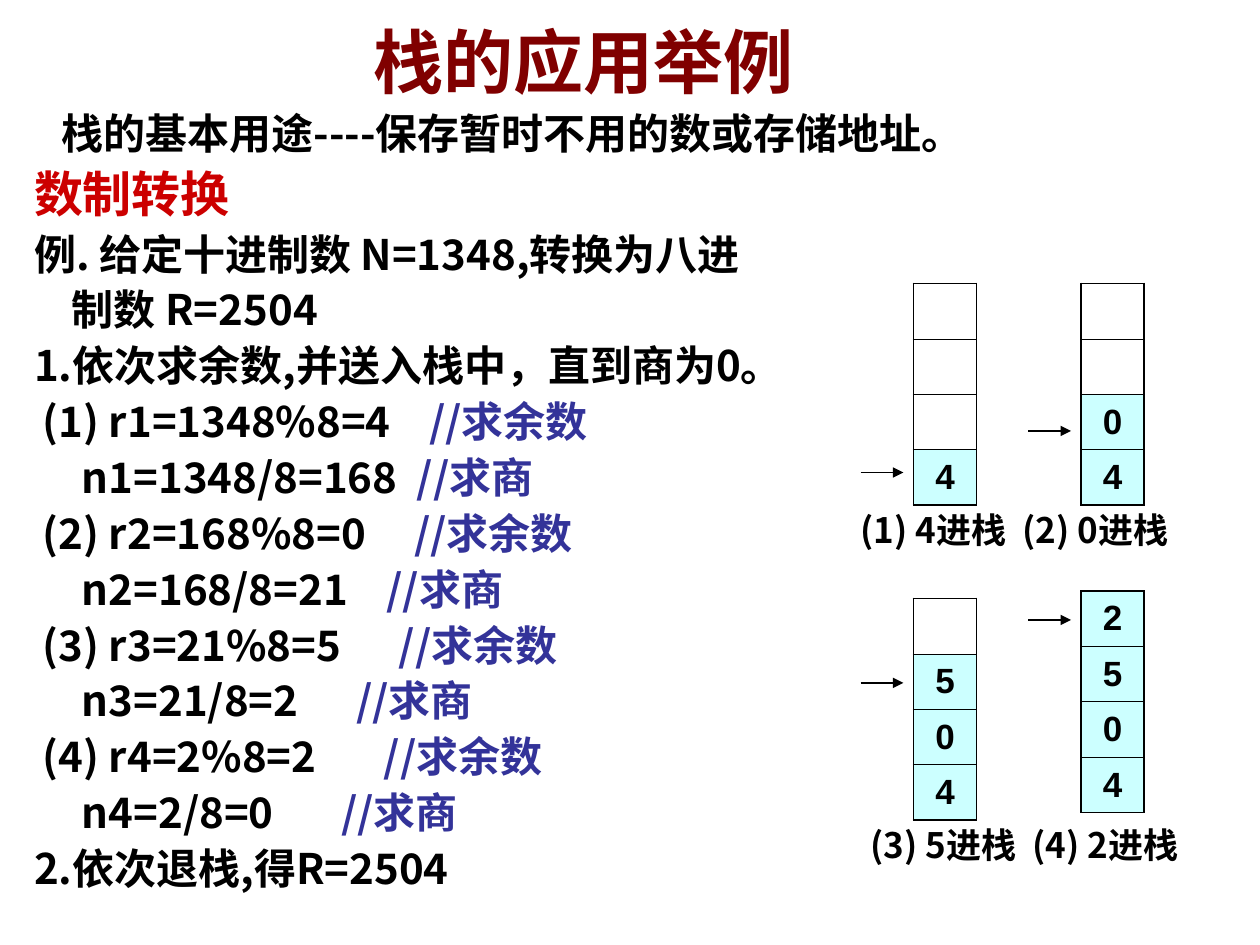
from lxml import etree
from pptx import Presentation
from pptx.dml.color import RGBColor
from pptx.enum.shapes import MSO_CONNECTOR
from pptx.enum.text import MSO_ANCHOR, MSO_AUTO_SIZE, PP_ALIGN
from pptx.oxml.ns import qn
from pptx.util import Inches, Pt

TOP, MIDDLE = MSO_ANCHOR.TOP, MSO_ANCHOR.MIDDLE
LEFT, CENTER = PP_ALIGN.LEFT, PP_ALIGN.CENTER
BLACK = RGBColor(0x00, 0x00, 0x00)
MAROON = RGBColor(0x80, 0x00, 0x00)
RED = RGBColor(0xCC, 0x00, 0x00)
BLUE = RGBColor(0x33, 0x33, 0x99)
CYAN = RGBColor(0xCC, 0xFF, 0xFF)
CJK_FONT, DIGIT_FONT = "Noto Sans CJK SC", "Arial"

TITLE = "栈的应用举例"
# text, indent, size, colour
INTRO = [
    ("栈的基本用途----保存暂时不用的数或存储地址。", 0.22, 24, BLACK),
    ("数制转换", 0, 28, RED),
    ("例. 给定十进制数 N=1348,转换为八进", 0, 24, BLACK),
    ("制数 R=2504", 0.3, 24, BLACK),
    ("1.依次求余数,并送入栈中，直到商为0。", 0, 24, BLACK),
]
# remainder, gap before its comment, quotient, gap before its comment
STEPS = [
    ("(1) r1=1348%8=4", 4, "n1=1348/8=168", 2),
    ("(2) r2=168%8=0", 5, "n2=168/8=21", 4),
    ("(3) r3=21%8=5", 6, "n3=21/8=2", 6),
    ("(4) r4=2%8=2", 7, "n4=2/8=0", 7),
]
CONCLUSION = "2.依次退栈,得R=2504"
# pushed digits from the top down, column, top, arrow height
STACKS = [
    ("4", 0, 2.25, 3.75),
    ("04", 1, 2.25, 3.42),
    ("504", 0, 4.75, 5.42),
    ("2504", 1, 4.69, 4.92),
]
CAPTIONS = [
    ("(1) 4进栈", "(2) 0进栈", 6.73, 4),
    ("(3) 5进栈", "(4) 2进栈", 6.81, 6.5),
]

STACK_LEFT, STACK_STEP, CELL_WIDTH, CELL_HEIGHT, DEPTH = 7.25, 1.33, 0.5, 0.44, 4
LINE_HEIGHT = 1.08  # share of the font size
SPACE_WIDTH = 0.23  # share of the font size
THICK, THIN = 1.08, 0.45


def set_font(font, size, color, name=CJK_FONT):
    font.name, font.size, font.bold = name, Pt(size), True
    font.color.rgb = color
    etree.SubElement(font._element, qn("a:ea"), typeface=name)


def format_paragraph(paragraph, size, color, indent=0, before=0, align=LEFT):
    paragraph.alignment = align
    paragraph.line_spacing = Pt(round(size * LINE_HEIGHT, 1))
    paragraph.space_before = Pt(before)
    properties = paragraph._p.get_or_add_pPr()
    properties.set("marL", "0")
    properties.set("indent", str(Inches(indent)))
    etree.SubElement(properties, qn("a:buNone"))
    set_font(paragraph.font, size, color)


def add_spaced_run(paragraph, text, gap, size):
    """Add text after one space that is stretched to the width of gap spaces."""
    space = paragraph.add_run()
    space.text = " "
    stretch = round((gap - 1) * SPACE_WIDTH * size * 100)
    space._r.get_or_add_rPr().set("spc", str(stretch))
    run = paragraph.add_run()
    run.text = text
    return run


def place(holder, left, top, width, height):
    holder.left, holder.top = Inches(left), Inches(top)
    holder.width, holder.height = Inches(width), Inches(height)
    frame = holder.text_frame
    frame.word_wrap, frame.auto_size = True, MSO_AUTO_SIZE.NONE
    frame.vertical_anchor = TOP
    return frame


def fill_body(frame):
    lines = [(text, None, 0, indent, size, color) for text, indent, size, color in INTRO]
    for remainder, remainder_gap, quotient, quotient_gap in STEPS:
        lines.append((remainder, "//求余数", remainder_gap, 0.07, 24, BLACK))
        lines.append((quotient, "//求商", quotient_gap, 0.38, 24, BLACK))
    lines.append((CONCLUSION, None, 0, 0, 24, BLACK))
    for row, (text, comment, gap, indent, size, color) in enumerate(lines):
        paragraph = frame.add_paragraph() if row else frame.paragraphs[0]
        format_paragraph(paragraph, size, color, indent, size / 4 if row else 0)
        paragraph.add_run().text = text
        if comment:
            add_spaced_run(paragraph, comment, gap, size).font.color.rgb = BLUE


def add_borders(cell, row):
    widths = {"L": THICK, "R": THICK,
              "T": THIN if row else THICK,
              "B": THIN if row < DEPTH - 1 else THICK}
    for side, width in widths.items():
        line = etree.SubElement(cell._tc.get_or_add_tcPr(), qn("a:ln" + side), w=str(Pt(width)))
        fill = etree.SubElement(line, qn("a:solidFill"))
        etree.SubElement(fill, qn("a:srgbClr"), val=str(BLACK))


def add_stack(shapes, digits, left, top):
    table = shapes.add_table(DEPTH, 1, Inches(left), Inches(top), Inches(CELL_WIDTH),
                             Inches(CELL_HEIGHT * DEPTH)).table
    table.first_row = table.horz_banding = False
    for row, digit in enumerate(digits.rjust(DEPTH)):
        cell = table.cell(row, 0)
        add_borders(cell, row)
        cell.vertical_anchor = MIDDLE
        if digit == " ":
            cell.fill.background()
            continue
        cell.fill.solid()
        cell.fill.fore_color.rgb = CYAN
        cell.text = digit
        paragraph = cell.text_frame.paragraphs[0]
        paragraph.alignment = CENTER
        set_font(paragraph.font, 20, BLACK, DIGIT_FONT)


def add_arrow(shapes, start, end, y):
    arrow = shapes.add_connector(MSO_CONNECTOR.STRAIGHT, Inches(start), Inches(y),
                                 Inches(end), Inches(y))
    arrow.line.color.rgb = BLACK
    arrow.line.width = Pt(0.75)
    etree.SubElement(arrow.line._get_or_add_ln(), qn("a:tailEnd"), type="triangle")
    etree.SubElement(arrow._element.spPr, qn("a:effectLst"))


def main():
    deck = Presentation()
    deck.slide_width, deck.slide_height = Inches(10), Inches(7.5)
    slide = deck.slides.add_slide(deck.slide_layouts[1])
    shapes = slide.shapes

    heading = place(shapes.title, 0.17, 0.16, 8.92, 0.65).paragraphs[0]
    format_paragraph(heading, 40, MAROON, align=CENTER)
    heading.add_run().text = TITLE
    fill_body(place(slide.placeholders[1], 0.17, 0.84, 8.92, 6.64))

    for digits, column, top, arrow_y in STACKS:
        left = STACK_LEFT + column * STACK_STEP
        add_stack(shapes, digits, left, top)
        add_arrow(shapes, left - 0.42, left - 0.08, arrow_y)

    for first, second, left, top in CAPTIONS:
        frame = place(shapes.add_textbox(0, 0, 0, 0), left, top, 2.86, 0.44)
        frame.word_wrap = False
        frame.vertical_anchor = MIDDLE
        caption = frame.paragraphs[0]
        format_paragraph(caption, 20, BLACK)
        caption.add_run().text = first
        add_spaced_run(caption, second, 2, 20)

    deck.save("out.pptx")


if __name__ == "__main__":
    main()
